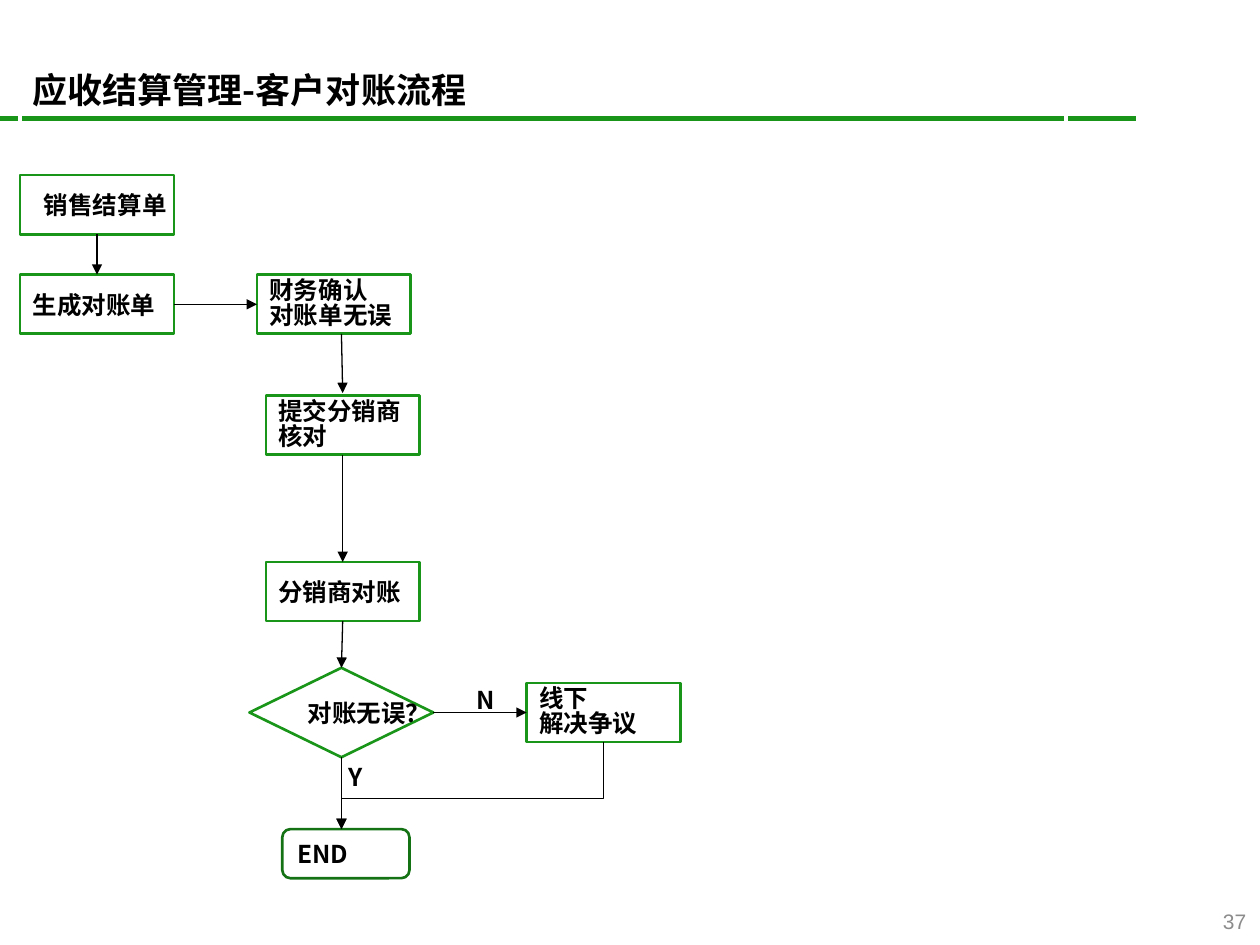
from dataclasses import dataclass

from lxml import etree
from pptx import Presentation
from pptx.dml.color import RGBColor
from pptx.enum.shapes import MSO_CONNECTOR, MSO_SHAPE
from pptx.enum.text import MSO_ANCHOR, PP_ALIGN
from pptx.oxml.ns import qn
from pptx.util import Inches, Pt

RECTANGLE = MSO_SHAPE.RECTANGLE
DIAMOND = MSO_SHAPE.DIAMOND
ROUNDED = MSO_SHAPE.ROUNDED_RECTANGLE
STRAIGHT = MSO_CONNECTOR.STRAIGHT
ELBOW = MSO_CONNECTOR.ELBOW
MIDDLE = MSO_ANCHOR.MIDDLE
RIGHT = PP_ALIGN.RIGHT
TOP_SITE, LEFT_SITE, BOTTOM_SITE, RIGHT_SITE = range(4)


@dataclass(frozen=True)
class Theme:
    """Colours, fonts and sizes of the slide."""
    green: RGBColor = RGBColor(0x19, 0x95, 0x19)
    dark_green: RGBColor = RGBColor(0x14, 0x72, 0x14)
    black: RGBColor = RGBColor(0, 0, 0)
    white: RGBColor = RGBColor(0xFF, 0xFF, 0xFF)
    gray: RGBColor = RGBColor(0x8C, 0x8C, 0x8C)
    text_font: str = "Noto Sans CJK SC"
    number_font: str = "Arial"
    title_size: int = 20
    step_size: int = 14
    number_size: int = 12
    line_spacing: float = 0.85


THEME = Theme()
STEP_WIDTH, STEP_HEIGHT = 1.22, 0.47
HANGING = 0.25


def add_run(paragraph, text, size, font=THEME.text_font, color=THEME.black, bold=True):
    """Append a styled run with the same font for Latin and East Asian text."""
    run = paragraph.add_run()
    run.text = text
    run.font.size = Pt(size)
    run.font.bold = bold
    run.font.color.rgb = color
    run.font.name = font
    properties = run.font._element
    etree.SubElement(properties, qn("a:ea")).set("typeface", font)


def write_lines(shape, lines, extra_indent=0):
    """Write hanging paragraphs that do not wrap."""
    frame = shape.text_frame
    frame.word_wrap = False
    frame.vertical_anchor = MIDDLE
    for index, line in enumerate(lines):
        paragraph = frame.add_paragraph() if index else frame.paragraphs[0]
        paragraph.alignment = PP_ALIGN.LEFT
        if len(lines) > 1:
            paragraph.line_spacing = THEME.line_spacing
        properties = paragraph._p.get_or_add_pPr()
        properties.set("marL", str(Inches(HANGING + extra_indent)))
        properties.set("indent", str(Inches(-HANGING)))
        add_run(paragraph, line, THEME.step_size)


def add_step(slide, left, top, lines, kind=RECTANGLE, width=STEP_WIDTH,
             height=STEP_HEIGHT, color=THEME.green, extra_indent=0):
    """Add one outlined flow chart node."""
    shape = slide.shapes.add_shape(
        kind, Inches(left), Inches(top), Inches(width), Inches(height))
    shape.shadow.inherit = False
    shape.fill.solid()
    shape.fill.fore_color.rgb = THEME.white
    shape.line.color.rgb = color
    shape.line.width = Pt(1.5)
    write_lines(shape, lines, extra_indent)
    return shape


def add_line(slide, start, end, color=THEME.black, width=0.75, kind=STRAIGHT, arrow=True):
    """Add a connector, by default with an arrowhead at its end."""
    connector = slide.shapes.add_connector(kind, *map(Inches, start + end))
    connector.line.color.rgb = color
    connector.line.width = Pt(width)
    if arrow:
        line = connector.line._get_or_add_ln()
        etree.SubElement(line, qn("a:tailEnd")).set("type", "triangle")
    etree.SubElement(connector._element.spPr, qn("a:effectLst"))
    return connector


def join(slide, source, source_site, target, target_site):
    """Join two nodes with a straight arrow."""
    connector = add_line(slide, (0, 0), (1, 1))
    connector.begin_connect(source, source_site)
    connector.end_connect(target, target_site)


def add_return_arrow(slide, start, end, bend):
    """Add an elbow arrow that goes down, left and down again."""
    span, drop = start[0] - end[0], end[1] - start[1]
    center_x, center_y = (start[0] + end[0]) / 2, (start[1] + end[1]) / 2
    connector = add_line(
        slide, (center_x - drop / 2, center_y - span / 2),
        (center_x + drop / 2, center_y + span / 2), kind=ELBOW)
    properties = connector._element.spPr
    properties.find(qn("a:xfrm")).set("rot", "5400000")
    adjustments = properties.find(qn("a:prstGeom")).get_or_add_avLst()
    guide = etree.SubElement(adjustments, qn("a:gd"))
    guide.set("name", "adj1")
    guide.set("fmla", f"val {round(bend * 100000)}")


def add_label(slide, left, top, text):
    """Add a branch label."""
    label = slide.shapes.add_textbox(
        Inches(left), Inches(top), Inches(0.25), Inches(0.27))
    write_lines(label, [text])


def add_header(slide):
    """Add the green rule and the title, whose white border cuts the rule."""
    add_line(slide, (0, 0.94), (9.02, 0.94), THEME.green, 3, arrow=False)
    title = slide.shapes.add_shape(
        RECTANGLE, Inches(0.16), Inches(0.42), Inches(8.3), Inches(0.58))
    title.shadow.inherit = False
    title.fill.background()
    title.line.color.rgb = THEME.white
    title.line.width = Pt(2)
    title.text_frame.word_wrap = True
    title.text_frame.vertical_anchor = MIDDLE
    paragraph = title.text_frame.paragraphs[0]
    paragraph.alignment = PP_ALIGN.LEFT
    add_run(paragraph, "应收结算管理-客户对账流程", THEME.title_size)


def add_page_number(slide):
    """Add the page number."""
    box = slide.shapes.add_textbox(
        Inches(9.43), Inches(7.14), Inches(0.56), Inches(0.34))
    box.text_frame.word_wrap = True
    box.text_frame.vertical_anchor = MIDDLE
    paragraph = box.text_frame.paragraphs[0]
    paragraph.alignment = RIGHT
    add_run(paragraph, "37", THEME.number_size, THEME.number_font, THEME.gray, False)


def add_flow(slide):
    """Add the reconciliation steps and the arrows between them."""
    settlement = add_step(slide, 0.16, 1.39, ["销售结算单"], extra_indent=0.09)
    statement = add_step(slide, 0.16, 2.18, ["生成对账单"])
    finance = add_step(slide, 2.04, 2.18, ["财务确认", "对账单无误"])
    submission = add_step(slide, 2.11, 3.14, ["提交分销商", "核对"])
    check = add_step(slide, 2.11, 4.46, ["分销商对账"])
    decision = add_step(slide, 1.98, 5.3, ["对账无误？"], DIAMOND, 1.46, 0.71)
    dispute = add_step(slide, 4.18, 5.42, ["线下", "解决争议"])
    end = add_step(slide, 2.24, 6.58, ["END"], ROUNDED, 1.01, 0.39, THEME.dark_green)

    join(slide, settlement, BOTTOM_SITE, statement, TOP_SITE)
    join(slide, statement, RIGHT_SITE, finance, LEFT_SITE)
    add_line(slide, (2.71, 2.65), (2.72, 3.12))
    join(slide, submission, BOTTOM_SITE, check, TOP_SITE)
    join(slide, check, BOTTOM_SITE, decision, TOP_SITE)
    join(slide, decision, RIGHT_SITE, dispute, LEFT_SITE)
    add_line(slide, (2.71, 6.01), (2.71, 6.58)).begin_connect(decision, BOTTOM_SITE)
    add_return_arrow(slide, (4.79, 5.89), (2.71, end.top / Inches(1)), 0.65)
    add_label(slide, 2.67, 6.03, "Y")
    add_label(slide, 3.68, 5.42, "N")


def main():
    """Build and save the slide."""
    presentation = Presentation()
    presentation.slide_width = Inches(10)
    presentation.slide_height = Inches(7.5)
    slide = presentation.slides.add_slide(presentation.slide_layouts[6])
    add_header(slide)
    add_page_number(slide)
    add_flow(slide)
    presentation.save("out.pptx")


if __name__ == "__main__":
    main()
